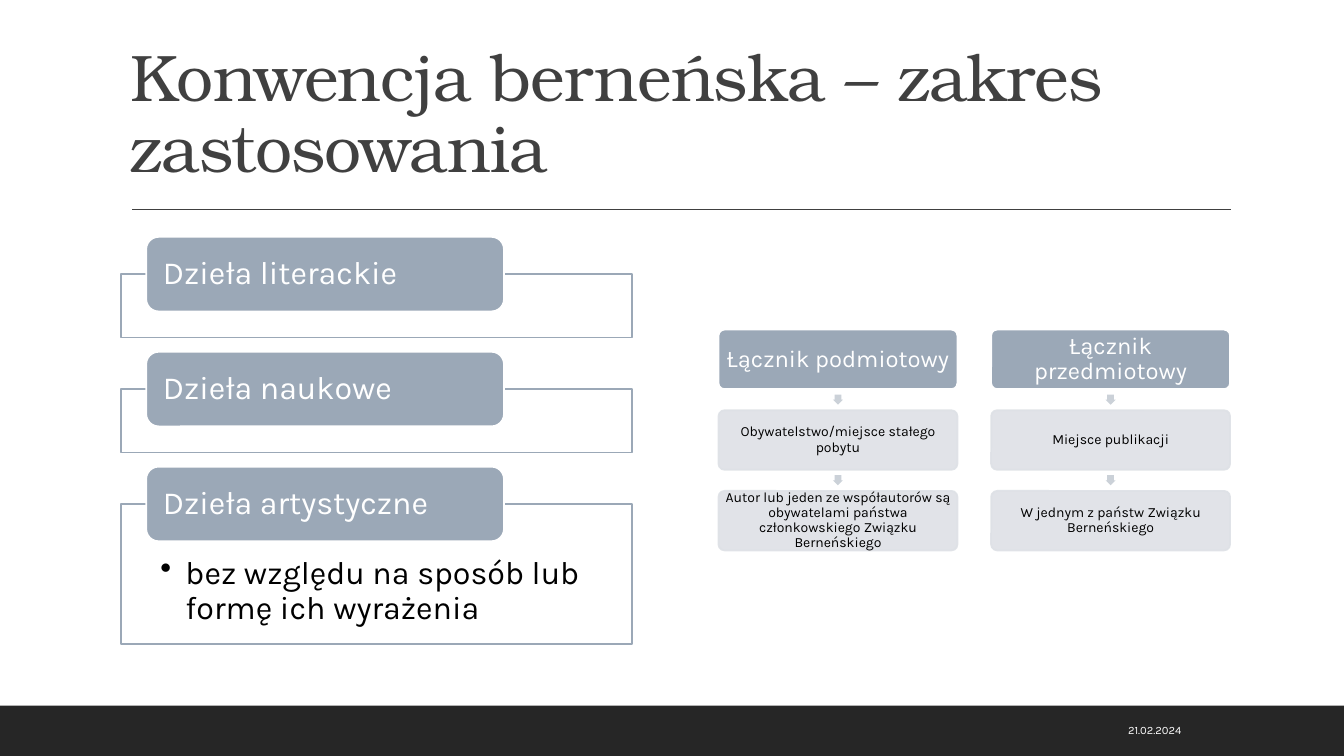
from dataclasses import dataclass

from lxml.etree import SubElement
from pptx import Presentation
from pptx.dml.color import RGBColor
from pptx.enum.shapes import MSO_CONNECTOR, MSO_SHAPE
from pptx.enum.text import MSO_ANCHOR, PP_ALIGN
from pptx.oxml.ns import qn
from pptx.shapes.autoshape import Shape
from pptx.shapes.shapetree import SlideShapes
from pptx.util import Emu, Inches, Pt

# The slide is a grid of 160 columns by 90 rows of square cells
COLUMNS, ROWS = 160, 90
SLIDE_WIDTH, SLIDE_HEIGHT = Inches(13.333), Inches(7.5)


@dataclass(frozen=True)
class Theme:
    heading_font: str = "TeX Gyre Bonum"
    body_font: str = "Karla"
    ink: str = "404040"
    black: str = "000000"
    white: str = "FFFFFF"
    footer: str = "262626"
    accent: str = "9BA8B7"
    pale: str = "DEE1E6"
    arrow: str = "CBD1D8"
    title_size: float = 47
    list_size: float = 23
    head_size: float = 17
    node_size: float = 10
    date_size: float = 8
    outline: float = 1.25


@dataclass(frozen=True)
class Box:
    left: float
    top: float
    width: float
    height: float

    def place(self) -> tuple[Emu, Emu, Emu, Emu]:
        return (column(self.left), row(self.top), column(self.width), row(self.height))


@dataclass(frozen=True)
class TextStyle:
    size: float
    color: str
    font: str = Theme.body_font
    align: PP_ALIGN = PP_ALIGN.LEFT
    anchor: MSO_ANCHOR = MSO_ANCHOR.MIDDLE
    insets: tuple[float, float, float, float] = (0.1, 0.05, 0.1, 0.05)  # inches
    bullet: str = ""


@dataclass(frozen=True)
class Work:
    name: str
    frame_height: float
    detail: str = ""


@dataclass(frozen=True)
class Link:
    head: str
    nodes: tuple[str, ...]


THEME = Theme()
CENTER = PP_ALIGN.CENTER
TITLE = TextStyle(THEME.title_size, THEME.ink, THEME.heading_font, anchor=MSO_ANCHOR.BOTTOM)
DATE = TextStyle(THEME.date_size, THEME.white, align=PP_ALIGN.RIGHT)
WORK = TextStyle(THEME.list_size, THEME.white, insets=(0.13, 0, 0.13, 0))
DETAIL = TextStyle(THEME.list_size, THEME.black, anchor=MSO_ANCHOR.TOP,
                   insets=(0.39, 0.52, 0.39, 0.18), bullet="•")
HEAD = TextStyle(THEME.head_size, THEME.white, align=CENTER, insets=(0.02,) * 4)
NODE = TextStyle(THEME.node_size, THEME.black, align=CENTER, insets=(0.01,) * 4)

WORKS = (
    Work("Dzieła literackie", 7.56),
    Work("Dzieła naukowe", 7.56),
    Work("Dzieła artystyczne", 16.7, "bez względu na sposób lub formę ich wyrażenia"),
)
FIRST_FRAME = Box(14.4, 32.64, 60.84, 7.56)
FRAME_PITCH = 13.68
TAB_INDENT, TAB_WIDTH, TAB_HEIGHT = 3, 42.6, 8.88

LINKS = (
    Link("Łącznik podmiotowy", (
        "Obywatelstwo/miejsce stałego pobytu",
        "Autor lub jeden ze współautorów są obywatelami państwa "
        "członkowskiego Związku Berneńskiego")),
    Link("Łącznik przedmiotowy", (
        "Miejsce publikacji",
        "W jednym z państw Związku Berneńskiego")),
)
FIRST_CELL = Box(85.54, 39.24, 28.44, 7.08)
CELL_PITCH_X, CELL_PITCH_Y = 32.46, 9.6
ARROW_SIZE = 1.2


def column(count: float) -> Emu:
    return Emu(round(SLIDE_WIDTH * count / COLUMNS))


def row(count: float) -> Emu:
    return Emu(round(SLIDE_HEIGHT * count / ROWS))


def write(shape: Shape, text: str, style: TextStyle) -> None:
    frame = shape.text_frame
    frame.word_wrap = True
    frame.vertical_anchor = style.anchor
    (frame.margin_left, frame.margin_top,
     frame.margin_right, frame.margin_bottom) = map(Inches, style.insets)
    paragraph = frame.paragraphs[0]
    paragraph.text = text
    paragraph.alignment = style.align
    paragraph.line_spacing = 0.9
    if style.bullet:
        properties = paragraph._p.get_or_add_pPr()
        properties.set("marL", str(Inches(0.25)))
        properties.set("indent", str(-Inches(0.25)))
        SubElement(properties, qn("a:buChar")).set("char", style.bullet)
    paragraph.font.name = style.font
    paragraph.font.size = Pt(style.size)
    paragraph.font.color.rgb = RGBColor.from_string(style.color)


def add_block(shapes: SlideShapes, kind: MSO_SHAPE, box: Box, fill: str,
              line: str = "") -> Shape:
    shape = shapes.add_shape(kind, *box.place())
    shape.shadow.inherit = False
    shape.fill.solid()
    shape.fill.fore_color.rgb = RGBColor.from_string(fill)
    if line:
        shape.line.color.rgb = RGBColor.from_string(line)
        shape.line.width = Pt(THEME.outline)
    else:
        shape.line.fill.background()
    return shape


def add_text(shapes: SlideShapes, box: Box, text: str, style: TextStyle) -> Shape:
    shape = shapes.add_textbox(*box.place())
    write(shape, text, style)
    return shape


def add_work(shapes: SlideShapes, work: Work, index: int) -> None:
    top = FIRST_FRAME.top + index * FRAME_PITCH
    box = Box(FIRST_FRAME.left, top, FIRST_FRAME.width, work.frame_height)
    frame = add_block(shapes, MSO_SHAPE.RECTANGLE, box, THEME.white, THEME.accent)
    if work.detail:
        write(frame, work.detail, DETAIL)
    tab_box = Box(box.left + TAB_INDENT, top - TAB_HEIGHT / 2, TAB_WIDTH, TAB_HEIGHT)
    tab = add_block(shapes, MSO_SHAPE.ROUNDED_RECTANGLE, tab_box, THEME.accent, THEME.white)
    write(tab, work.name, WORK)


def add_cell(shapes: SlideShapes, box: Box, text: str, is_head: bool) -> None:
    fill, line = (THEME.accent, THEME.white) if is_head else (THEME.pale, THEME.pale)
    cell = add_block(shapes, MSO_SHAPE.ROUNDED_RECTANGLE, box, fill, line)
    cell.adjustments[0] = 0.1
    if not is_head:  # nodes are 90 % opaque
        for color in cell._element.spPr.iter(qn("a:srgbClr")):
            SubElement(color, qn("a:alpha")).set("val", "90000")
    write(cell, text, HEAD if is_head else NODE)


def add_link(shapes: SlideShapes, link: Link, index: int) -> None:
    left = FIRST_CELL.left + index * CELL_PITCH_X
    width, height = FIRST_CELL.width, FIRST_CELL.height
    for step, text in enumerate((link.head, *link.nodes)):
        top = FIRST_CELL.top + step * CELL_PITCH_Y
        if step:
            gap_middle = top - (CELL_PITCH_Y - height) / 2
            arrow_box = Box(left + (width - ARROW_SIZE) / 2, gap_middle - ARROW_SIZE / 2,
                            ARROW_SIZE, ARROW_SIZE)
            arrow = add_block(shapes, MSO_SHAPE.DOWN_ARROW, arrow_box, THEME.arrow)
            arrow.adjustments[0] = 0.67
        add_cell(shapes, Box(left, top, width, height), text, step == 0)


def main() -> None:
    presentation = Presentation()
    presentation.slide_width, presentation.slide_height = SLIDE_WIDTH, SLIDE_HEIGHT
    shapes = presentation.slides.add_slide(presentation.slide_layouts[6]).shapes

    # Footer band, title and rule
    add_block(shapes, MSO_SHAPE.RECTANGLE, Box(0, 84, COLUMNS, 6), THEME.footer)
    title = add_text(shapes, Box(14.4, 3.72, 132, 19.08),
                     "Konwencja berneńska – zakres zastosowania", TITLE)
    title.text_frame.paragraphs[0].runs[0]._r.get_or_add_rPr().set("spc", "-50")
    rule = shapes.add_connector(MSO_CONNECTOR.STRAIGHT, column(15.72), row(24.96),
                                column(146.52), row(24.96))
    rule.line.color.rgb = RGBColor.from_string(THEME.ink)
    rule.line.width = Pt(1)
    SubElement(rule._element.spPr, qn("a:effectLst"))

    # Kinds of works on the left, connecting factors on the right
    for index, work in enumerate(WORKS):
        add_work(shapes, work, index)
    for index, link in enumerate(LINKS):
        add_link(shapes, link, index)

    # Date
    add_text(shapes, Box(107.88, 84.6, 33.96, 4.8), "21.02.2024", DATE)
    presentation.save("out.pptx")


if __name__ == "__main__":
    main()
